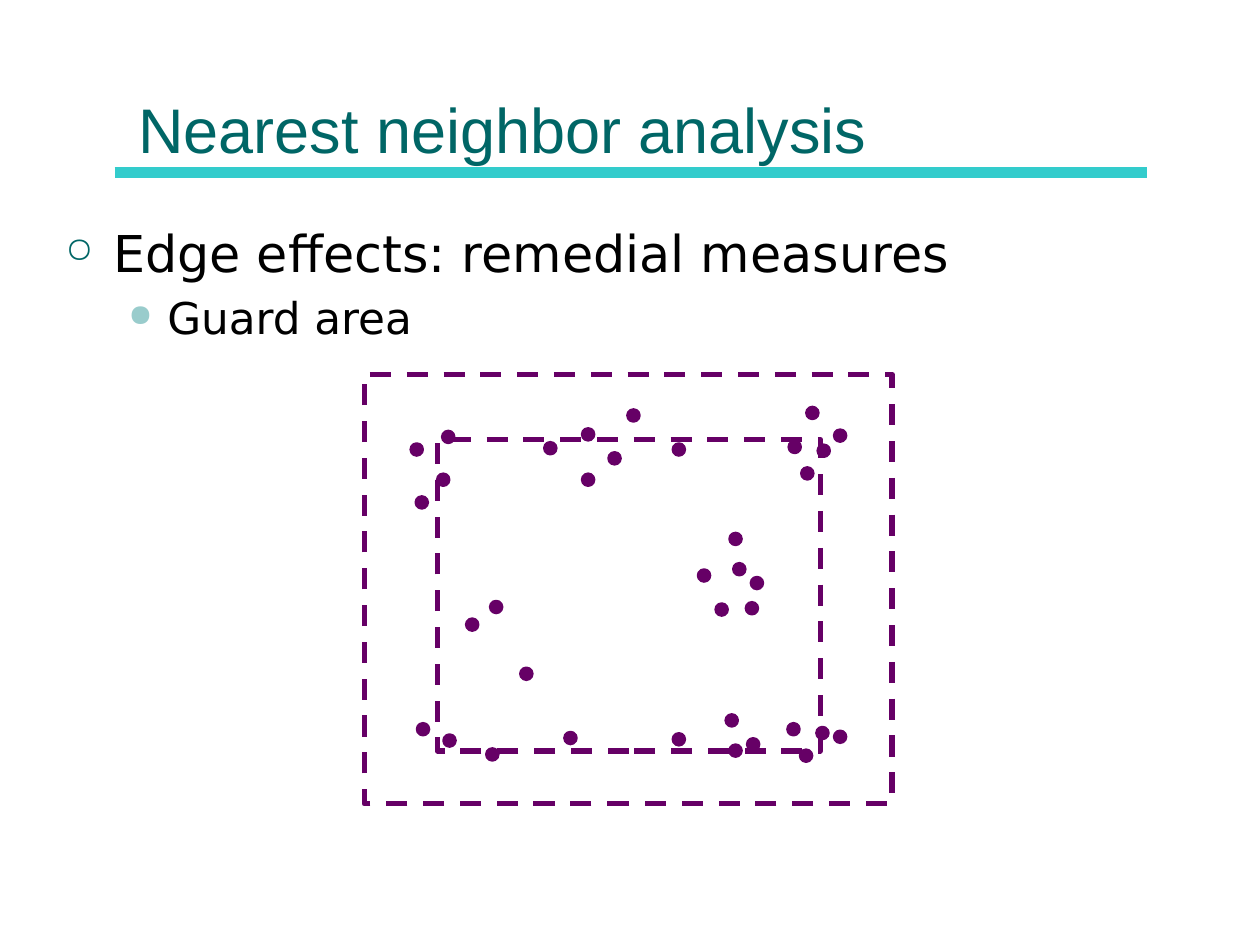
import dataclasses

import pptx
import pptx.dml.color
import pptx.enum.dml
import pptx.enum.shapes
import pptx.enum.text
import pptx.oxml.ns
import pptx.util
from lxml import etree

# The slide is a grid of 100 columns by 75 rows, each cell a tenth of an inch.
COLUMNS, ROWS = 100, 75
DOT_SIZE = 0.95


@dataclasses.dataclass(frozen=True)
class Theme:
    title_color: str = "006666"
    rule_color: str = "33CCCC"
    text_color: str = "000000"
    sub_bullet_color: str = "99CCCC"
    map_color: str = "660066"
    title_font: str = "Arial"
    body_font: str = "DejaVu Sans"
    title_size: int = 36
    body_size: int = 29
    sub_size: int = 25
    rule_width: int = 6
    frame_width: int = 3
    dot_width: float = 1.5


THEME = Theme()

# Left and top of each point, in cells, by region of the study area
POINTS = {
    "top left": [(35.1, 34.2), (32.6, 35.2), (34.7, 37.6), (33, 39.4)],
    "top middle": [(49.8, 32.5), (46.2, 34), (43.2, 35.1), (53.4, 35.2),
                   (48.3, 35.9), (46.2, 37.6)],
    "top right": [(64, 32.3), (66.2, 34.1), (62.6, 35), (64.9, 35.3),
                  (63.6, 37.1)],
    "centre right": [(57.9, 42.3), (58.2, 44.7), (55.4, 45.2), (59.6, 45.8),
                     (59.2, 47.8), (56.8, 47.9)],
    "centre left": [(38.9, 47.7), (37, 49.1), (41.3, 53)],
    "bottom left": [(33.1, 57.4), (35.2, 58.3), (38.6, 59.4)],
    "bottom middle": [(44.8, 58.1), (53.4, 58.2), (57.6, 56.7), (59.3, 58.6),
                      (57.9, 59.1)],
    "bottom right": [(62.5, 57.4), (64.8, 57.7), (66.2, 58), (63.5, 59.5)],
}


def cells(*counts):
    return [pptx.util.Inches(count / 10) for count in counts]


def rgb(value):
    return pptx.dml.color.RGBColor.from_string(value)


def add_text_box(page, area, anchor):
    frame = page.shapes.add_textbox(*cells(*area)).text_frame
    frame.word_wrap = True
    frame.vertical_anchor = anchor
    return frame


def add_span(para, text, font, size, color):
    span = para.add_run()
    span.text = text
    span.font.name = font
    span.font.size = pptx.util.Pt(size)
    span.font.color.rgb = rgb(color)


def set_bullet(para, char, color, margin, hang):
    properties = para._p.get_or_add_pPr()
    properties.set("marL", str(pptx.util.Inches(margin)))
    properties.set("indent", str(-pptx.util.Inches(hang)))
    name = pptx.oxml.ns.qn
    bullet_color = etree.SubElement(properties, name("a:buClr"))
    etree.SubElement(bullet_color, name("a:srgbClr"), val=color)
    etree.SubElement(properties, name("a:buSzPct"), val="70000")
    etree.SubElement(properties, name("a:buChar"), char=char)


def add_bullet(para, text, size, char, color, margin, hang):
    para.space_before = pptx.util.Pt(round(size * 0.2))
    set_bullet(para, char, color, margin, hang)
    add_span(para, text, THEME.body_font, size, THEME.text_color)


def add_rule(page, left, right, row):
    rule = page.shapes.add_connector(
        pptx.enum.shapes.MSO_CONNECTOR.STRAIGHT, *cells(left, row, right, row))
    rule.line.color.rgb = rgb(THEME.rule_color)
    rule.line.width = pptx.util.Pt(THEME.rule_width)
    etree.SubElement(rule._element.spPr, pptx.oxml.ns.qn("a:effectLst"))


def add_outline(page, kind, area, width):
    shape = page.shapes.add_shape(kind, *cells(*area))
    shape.shadow.inherit = False
    shape.line.color.rgb = rgb(THEME.map_color)
    shape.line.width = pptx.util.Pt(width)
    return shape


def add_dot(page, left, top):
    dot = add_outline(page, pptx.enum.shapes.MSO_SHAPE.OVAL,
                      (left, top, DOT_SIZE, DOT_SIZE), THEME.dot_width)
    dot.fill.solid()
    dot.fill.fore_color.rgb = rgb(THEME.map_color)


def add_dashed_frame(page, area):
    frame = add_outline(page, pptx.enum.shapes.MSO_SHAPE.RECTANGLE,
                        area, THEME.frame_width)
    frame.fill.background()
    frame.line.dash_style = pptx.enum.dml.MSO_LINE.DASH


def main():
    deck = pptx.Presentation()
    deck.slide_width, deck.slide_height = cells(COLUMNS, ROWS)
    page = deck.slides.add_slide(deck.slide_layouts[6])

    # Title over its rule
    add_rule(page, 9.1, 91, 13.7)
    title = add_text_box(page, (10, 1.2, 80, 12.5),
                         pptx.enum.text.MSO_ANCHOR.BOTTOM)
    add_span(title.paragraphs[0], "Nearest neighbor analysis",
             THEME.title_font, THEME.title_size, THEME.title_color)

    # Bullets
    body = add_text_box(page, (4.2, 17.1, 91.3, 45),
                        pptx.enum.text.MSO_ANCHOR.TOP)
    add_bullet(body.paragraphs[0], "Edge effects: remedial measures",
               THEME.body_size, "○", THEME.title_color, 0.38, 0.38)
    sub_point = body.add_paragraph()
    sub_point.level = 1
    add_bullet(sub_point, "Guard area",
               THEME.sub_size, "●", THEME.sub_bullet_color, 0.81, 0.31)

    # Point pattern
    for region in POINTS.values():
        for left, top in region:
            add_dot(page, left, top)

    # Study area inside its guard area
    add_dashed_frame(page, (34.7, 34.9, 30.4, 24.7))
    add_dashed_frame(page, (28.9, 29.7, 41.9, 34.1))

    deck.save("out.pptx")


if __name__ == "__main__":
    main()
